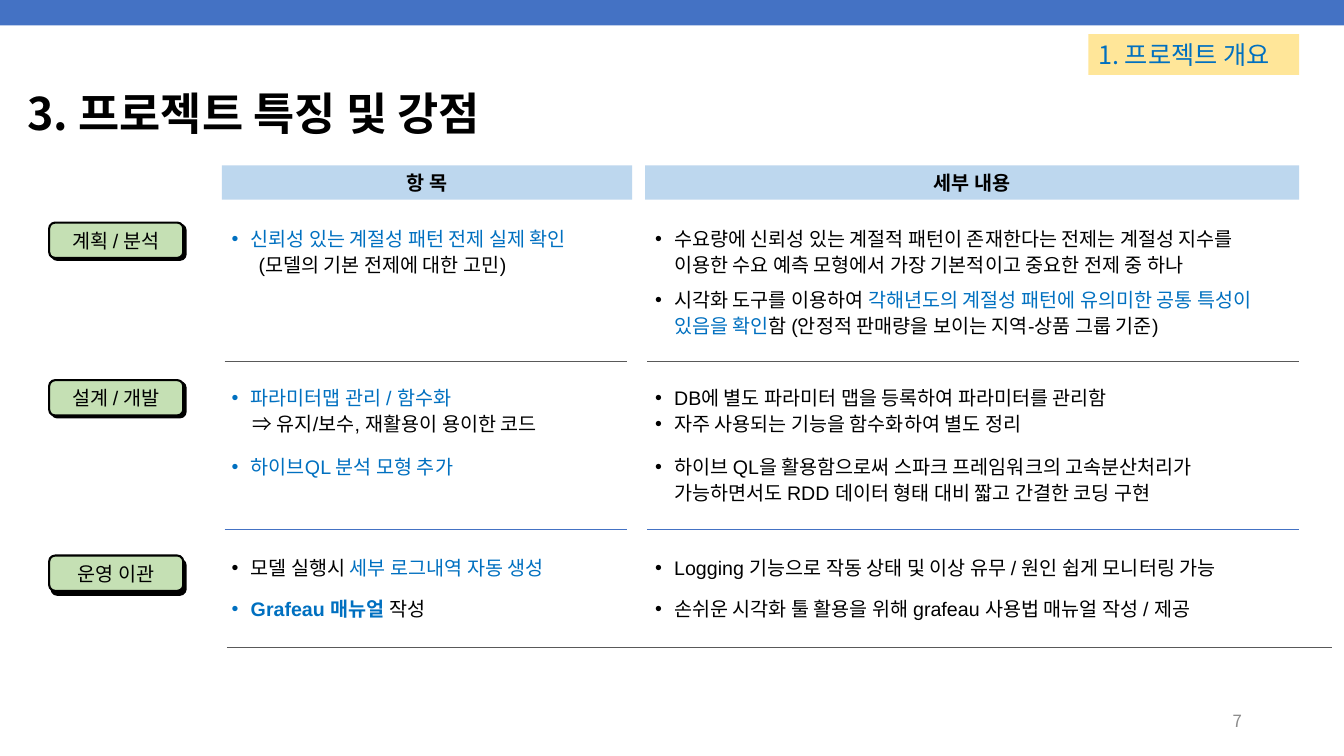
from lxml.etree import SubElement
from pptx import Presentation
from pptx.dml.color import RGBColor
from pptx.enum.shapes import MSO_CONNECTOR, MSO_SHAPE
from pptx.enum.text import MSO_ANCHOR, PP_ALIGN
from pptx.oxml.ns import qn
from pptx.util import Cm, Pt

COLORS = {"bar": "4472C4", "tag": "FFE699", "header": "BDD7EE", "badge": "C5E0B4",
          "black": "000000", "accent": "0070C0", "number": "8C8C8C", "rule": "595959"}
KOREAN = "Noto Sans CJK KR"
LEFT, RIGHT = 5.59, 16.26


def color_of(name):
    """Return the named colour."""
    return RGBColor.from_string(COLORS[name])


class Slide:
    """Holds the text style and the current slide."""

    def __init__(self, page, font="Arial", size=14):
        self.page, self.font, self.size = page, font, size

    def add_spans(self, para, runs, font=None, size=None):
        """Add runs given as (text, colour, bold)."""
        for text, color, bold in runs:
            span = para.add_run()
            span.text = text
            span.font.name = font or self.font
            span.font.size = Pt(size or self.size)
            span.font.bold = bold
            span.font.color.rgb = color_of(color)
            SubElement(span.font._element, qn("a:ea")).set("typeface", KOREAN)

    def title(self, text, place):
        """Place and format the title."""
        box = self.page.shapes.title
        box.left, box.top, box.width, box.height = map(Cm, place)
        box.text_frame.vertical_anchor = MSO_ANCHOR.MIDDLE
        para = box.text_frame.paragraphs[0]
        para.alignment, para.line_spacing = PP_ALIGN.LEFT, 0.9
        self.add_spans(para, [(text, "black", True)], KOREAN, 32)

    def block(self, place, fill, runs=(), align=PP_ALIGN.CENTER, kind=MSO_SHAPE.RECTANGLE,
              outlined=False, font=None, size=None, shapes=None):
        """Draw a filled shape with one line of text."""
        box = (shapes or self.page.shapes).add_shape(kind, *map(Cm, place))
        box.shadow.inherit = False
        box.fill.solid()
        box.fill.fore_color.rgb = color_of(fill)
        if outlined:
            box.line.color.rgb = color_of("black")
            box.line.width = Pt(1.5)
        else:
            box.line.fill.background()
        box.text_frame.vertical_anchor = MSO_ANCHOR.MIDDLE
        para = box.text_frame.paragraphs[0]
        para.alignment = align
        self.add_spans(para, runs, font, size)

    def badge(self, top, text, drop):
        """Draw a stage badge over its solid black backing."""
        shapes = self.page.shapes.add_group_shape().shapes
        rounded = MSO_SHAPE.ROUNDED_RECTANGLE
        self.block((1.3, top + drop, 3.38, 0.89), "black", kind=rounded,
                   outlined=True, shapes=shapes)
        self.block((1.24, top, 3.38, 0.89), "badge", [(text, "black", False)],
                   kind=rounded, outlined=True, shapes=shapes)

    def bullets(self, place, items):
        """Add paragraphs given as (runs, space before, plain indent or None)."""
        frame = self.page.shapes.add_textbox(*map(Cm, place)).text_frame
        frame.word_wrap = True
        for index, (runs, before, indent) in enumerate(items):
            para = frame.add_paragraph() if index else frame.paragraphs[0]
            para.line_spacing, para.space_before = 1.1, Pt(before)
            self.add_spans(para, runs)
            properties = para._p.get_or_add_pPr()
            properties.set("marL", str(Cm(indent or 0.48)))
            if indent is None:
                properties.set("indent", str(-Cm(0.48)))
                SubElement(properties, qn("a:buFont")).set("typeface", "Arial")
                SubElement(properties, qn("a:buChar")).set("char", "•")

    def number(self, place, text):
        """Add the page number."""
        frame = self.page.shapes.add_textbox(*map(Cm, place)).text_frame
        frame.word_wrap = True
        frame.vertical_anchor = MSO_ANCHOR.MIDDLE
        frame.paragraphs[0].alignment = PP_ALIGN.RIGHT
        self.add_spans(frame.paragraphs[0], [(text, "number", False)], KOREAN, 12)

    def rule(self, start, end, top, color, width):
        """Draw a horizontal rule."""
        line = self.page.shapes.add_connector(
            MSO_CONNECTOR.STRAIGHT, Cm(start), Cm(top), Cm(end), Cm(top))
        line.line.color.rgb = color_of(color)
        line.line.width = Pt(width)
        SubElement(line._element.spPr, qn("a:effectLst"))


def plain(text):
    """Return a black run."""
    return text, "black", False


def accent(text, bold=False):
    """Return a blue run."""
    return text, "accent", bold


def item(*runs, before=0, indent=None):
    """Return one paragraph of a list."""
    return runs, before, indent


BADGES = [(5.61, "계획 / 분석", 0.05), (9.58, "설계 / 개발", 0.05), (14, "운영 이관", 0.1)]
HEADERS = [(LEFT, 10.34, "항 목"), (RIGHT, 16.48, "세부 내용")]
LISTS = [
    ((LEFT, 5.54, 10.34, 1.52), [
        item(accent("신뢰성 있는 계절성 패턴 전제 실제 확인")),
        item(plain("(모델의 기본 전제에 대한 고민)"), indent=0.68)]),
    ((RIGHT, 5.54, 16.21, 3.07), [
        item(plain("수요량에 신뢰성 있는 계절적 패턴이 존재한다는 전제는 계절성 지수를 "
                   "이용한 수요 예측 모형에서 가장 기본적이고 중요한 전제 중 하나")),
        item(plain("시각화 도구를 이용하여 "),
             accent("각해년도의 계절성 패턴에 유의미한 공통 특성이 있음을 확인"),
             plain("함 (안정적 판매량을 보이는 지역-상품 그룹 기준)"), before=6.5)]),
    ((LEFT, 9.55, 10.34, 1.55), [
        item(accent("파라미터맵 관리 / 함수화")),
        item(plain("⇒ 유지/보수, 재활용이 용이한 코드"), indent=0.53)]),
    ((RIGHT, 9.55, 15.44, 1.57), [
        item(plain("DB에 별도 파라미터 맵을 등록하여 파라미터를 관리함")),
        item(plain("자주 사용되는 기능을 함수화하여 별도 정리"))]),
    ((LEFT, 11.28, 10.34, 0.86), [item(accent("하이브QL 분석 모형 추가"))]),
    ((RIGHT, 11.28, 16.59, 1.57), [
        item(plain("하이브 QL을 활용함으로써 스파크 프레임워크의 고속분산처리가 "
                   "가능하면서도 RDD 데이터 형태 대비 짧고 간결한 코딩 구현"))]),
    ((LEFT, 13.82, 10.34, 0.86), [
        item(plain("모델 실행시 "), accent("세부 로그내역 자동 생성"))]),
    ((RIGHT, 13.82, 16.59, 0.86), [
        item(plain("Logging 기능으로 작동 상태 및 이상 유무 / 원인 쉽게 모니터링 가능"))]),
    ((LEFT, 14.86, 10.34, 0.86), [item(accent("Grafeau 매뉴얼 ", True), plain("작성"))]),
    ((RIGHT, 14.86, 16.59, 0.86), [
        item(plain("손쉬운 시각화 툴 활용을 위해 grafeau 사용법 매뉴얼 작성 / 제공"))]),
]


def main():
    """Build and save the deck."""
    deck = Presentation()
    deck.slide_width, deck.slide_height = Cm(33.87), Cm(19.05)
    slide = Slide(deck.slides.add_slide(deck.slide_layouts[5]))
    slide.block((0, 0, 33.87, 0.64), "bar")
    slide.title("3. 프로젝트 특징 및 강점", (0.43, 1.8, 32.84, 2.26))
    slide.block((27.43, 0.86, 5.31, 1.03), "tag", [accent("1. 프로젝트 개요")],
                align=PP_ALIGN.LEFT, font=KOREAN, size=18)
    for left, width, text in HEADERS:
        slide.block((left, 4.17, width, 0.86), "header", [(text, "black", True)])
    for badge in BADGES:
        slide.badge(*badge)
    for place, items in LISTS:
        slide.bullets(place, items)
    for top, color, width in [(9.12, "rule", 0.75), (13.34, "bar", 1)]:
        for start, end in [(5.66, 15.8), (16.31, 32.74)]:
            slide.rule(start, end, top, color, width)
    slide.rule(5.72, 33.58, 16.31, "rule", 0.75)
    slide.number((23.93, 17.65, 7.62, 1.02), "7")
    deck.save("out.pptx")


if __name__ == "__main__":
    main()
